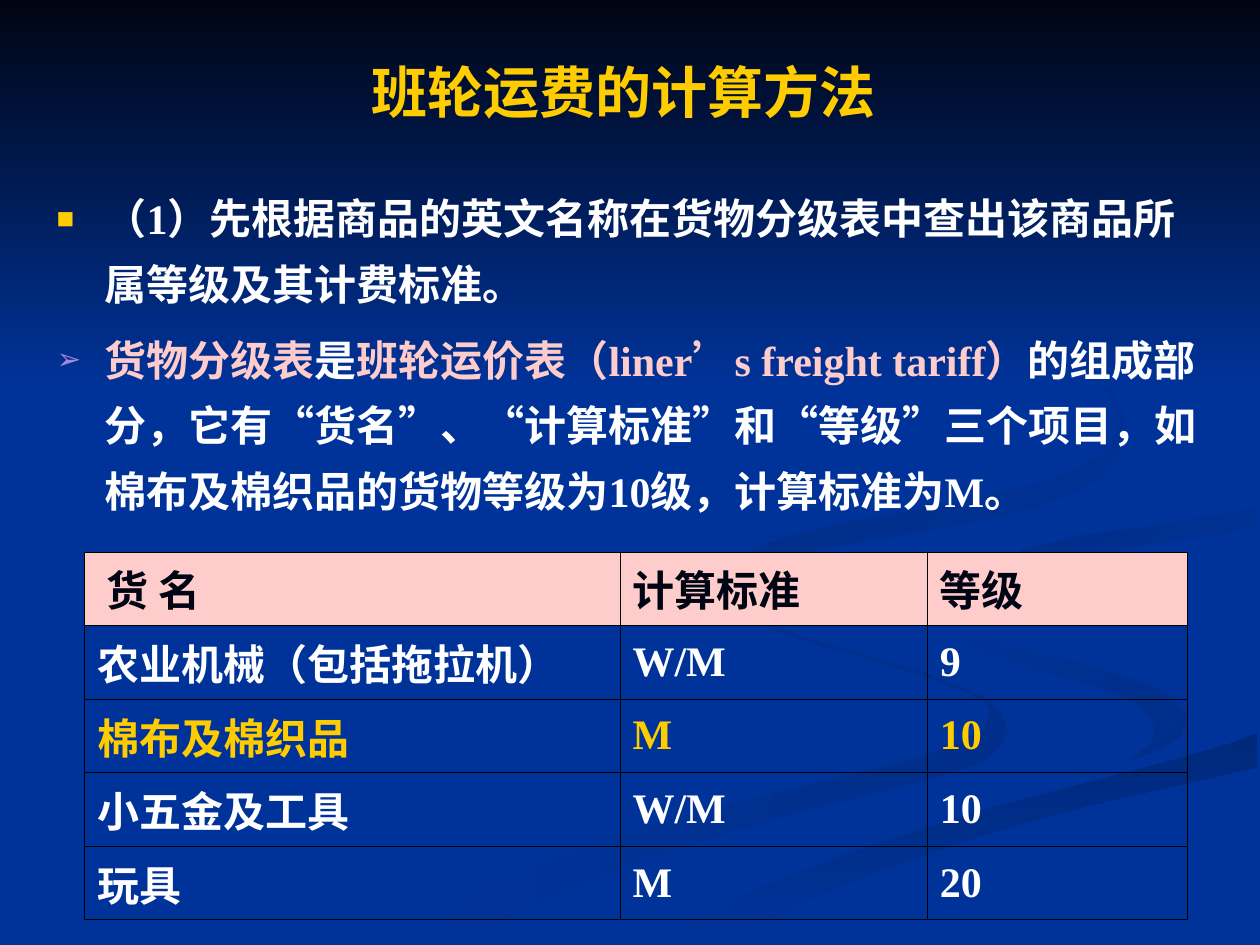
from lxml.etree import SubElement
from pptx import Presentation
from pptx.dml.color import RGBColor
from pptx.enum.text import MSO_ANCHOR as Anchor, MSO_AUTO_SIZE as AutoSize, PP_ALIGN as Align
from pptx.oxml import parse_xml
from pptx.oxml.ns import nsdecls, qn
from pptx.util import Pt

SCALE = 9144
COLORS = {
    "blue": "003399", "night": "000514", "deep": "002E8A", "shade": "00297C",
    "dusk": "002C85", "dark": "002B81", "gold": "FFCC00", "pink": "FFCCCC",
    "white": "FFFFFF", "violet": "A886E0", "black": "000000",
}
LEFT_SWIRL = [
    (781, 553), (757, 543), (731, 533), (682, 519), (642, 507), (614, 496), (594, 485),
    (579, 473), (574, 464), (575, 459), (570, 468), (576, 480), (593, 491), (611, 499),
    (654, 513), (697, 525), (741, 539), (770, 551), (781, 556), (786, 566), (780, 579),
    (759, 590), (727, 602), (684, 613), (616, 629), (539, 649), (458, 674), (376, 707),
    (300, 749), (361, 749), (431, 714), (499, 687), (564, 665), (623, 647), (676, 634),
    (740, 618), (780, 605), (795, 592), (800, 581), (795, 567), (786, 556),
]
RIGHT_SWIRL = [
    (943, 570), (935, 557), (919, 547), (888, 535), (850, 524), (811, 515), (774, 503),
    (745, 490), (730, 479), (724, 464), (727, 479), (739, 494), (766, 512), (797, 524),
    (838, 536), (868, 544), (892, 553), (907, 562), (917, 576), (914, 589), (894, 605),
    (925, 593), (941, 581),
]
LOWER_BAND = [
    (519, 747), (503, 749), (571, 749), (600, 733), (649, 710), (722, 682), (785, 661),
    (861, 640), (949, 620), (998, 609), (998, 581), (963, 594), (920, 606), (831, 629),
    (764, 647), (662, 681), (599, 706), (543, 733),
]
BROAD_BAND = [
    (725, 464), (734, 483), (759, 498), (793, 509), (851, 524), (905, 540), (931, 553),
    (943, 570), (936, 587), (911, 600), (869, 611), (780, 634), (704, 655), (619, 684),
    (526, 724), (477, 749), (503, 749), (519, 747), (599, 706), (662, 681), (765, 647),
    (832, 629), (920, 606), (976, 590), (999, 581), (999, 538), (941, 527), (866, 509),
    (817, 492), (786, 473), (781, 463), (792, 447), (822, 434), (865, 424), (933, 415),
    (999, 402), (999, 387), (942, 399), (874, 408), (808, 417), (755, 432), (732, 446),
]
UPPER_TAIL = [
    (781, 460), (786, 474), (806, 487), (826, 496), (809, 483), (805, 472), (816, 459),
    (843, 448), (896, 435), (954, 426), (998, 420), (998, 402), (933, 415), (865, 424),
    (810, 437), (785, 453),
]
UPPER_SWIRL = [
    (683, 430), (739, 421), (786, 412), (825, 402), (855, 391), (876, 378), (889, 362),
    (894, 344), (890, 324), (880, 307), (864, 291), (843, 275), (810, 256), (780, 241),
    (762, 233), (805, 254), (846, 279), (870, 299), (885, 320), (889, 335), (882, 354),
    (861, 370), (830, 382), (791, 392), (733, 404), (676, 414), (625, 426), (597, 437),
    (580, 451), (578, 468), (590, 484), (622, 500), (601, 485), (593, 470), (601, 456),
    (624, 444), (649, 436),
]
TOP_SKY = [(0, 0), (0, 308), (1000, 308), (1000, 0)]
BACKDROP = [
    (LEFT_SWIRL, "deep", "blue", 180),
    (RIGHT_SWIRL, "deep", "blue", 225),
    (LOWER_BAND, "shade", "blue", 90),
    (BROAD_BAND, "blue", "blue", 0),
    (UPPER_TAIL, "blue", "dusk", 225),
    (UPPER_SWIRL, "blue", "dark", 225),
    (TOP_SKY, "night", "blue", 90),
]
STEPS = [
    ("■", "gold", [("（1）先根据商品的英文名称在货物分级表中查出该商品所属等级及其计费标准。", "white")]),
    ("➢", "violet", [
        ("货物分级表", "pink"),
        ("是", "white"),
        ("班轮运价表（liner’s freight tariff）", "pink"),
        ("的组成部分，它有“货名”、“计算标准”和“等级”三个项目，"
         "如棉布及棉织品的货物等级为10级，计算标准为M。", "white"),
    ]),
]
GOODS = [
    (" 货 名", "计算标准", "等级"),
    ("农业机械（包括拖拉机）", "W/M", "9"),
    ("棉布及棉织品", "M", "10"),
    ("小五金及工具", "W/M", "10"),
    ("玩具", "M", "20"),
]


def rgb(name):
    return RGBColor.from_string(COLORS[name])


class SlideBuilder:
    """Draws styled elements on the current slide."""

    font_name = "Times New Roman"

    def __init__(self, page):
        self.page = page
        page.background.fill.solid()
        page.background.fill.fore_color.rgb = rgb("blue")

    def style(self, font, size, color=None):
        font.name, font.size, font.bold = self.font_name, Pt(size), True
        if color:
            font.color.rgb = rgb(color)

    def place(self, box, left, top, width, height):
        box.left, box.top = left * SCALE, top * SCALE
        box.width, box.height = width * SCALE, height * SCALE
        box.text_frame.word_wrap = True
        box.text_frame.auto_size = AutoSize.NONE

    def outline(self, points, start, end, angle):
        builder = self.page.shapes.build_freeform(*points[0], scale=SCALE)
        builder.add_line_segments(points[1:], close=True)
        shape = builder.convert_to_shape()
        shape.shadow.inherit = False
        shape.line.fill.background()
        if start == end:
            shape.fill.solid()
            shape.fill.fore_color.rgb = rgb(start)
            return
        shape.fill.gradient()
        shape.fill.gradient_angle = 360 - angle
        for stop, color in zip(shape.fill.gradient_stops, (start, end)):
            stop.color.rgb = rgb(color)

    def title(self, text, *frame):
        box = self.page.shapes.title
        self.place(box, *frame)
        box.text_frame.vertical_anchor = Anchor.MIDDLE
        para = box.text_frame.paragraphs[0]
        para.text, para.alignment = text, Align.CENTER
        self.style(para.font, 32, "gold")

    def bullet(self, para, symbol, color):
        properties = para._p.get_or_add_pPr()
        properties.set("marL", str(38 * SCALE))
        properties.set("indent", str(-38 * SCALE))
        tint = SubElement(properties, qn("a:buClr"))
        SubElement(tint, qn("a:srgbClr"), val=COLORS[color])
        SubElement(properties, qn("a:buSzPct"), val="70000")
        SubElement(properties, qn("a:buChar"), char=symbol)

    def body(self, items, *frame):
        box = self.page.placeholders[1]
        self.place(box, *frame)
        for index, (symbol, color, spans) in enumerate(items):
            text = box.text_frame
            para = text.add_paragraph() if index else text.paragraphs[0]
            self.bullet(para, symbol, color)
            para.line_spacing = 1.3
            para.space_before = Pt(6 if index else 0)
            self.style(para.font, 24)
            for words, tone in spans:
                span = para.add_run()
                span.text = words
                self.style(span.font, 24, tone)

    def border(self, cell):
        properties = cell._tc.get_or_add_tcPr()
        for index, side in enumerate("LRTB"):
            properties.insert(index, parse_xml(
                f'<a:ln{side} {nsdecls("a")} w="{Pt(0.34)}"><a:solidFill>'
                f'<a:srgbClr val="{COLORS["black"]}"/></a:solidFill></a:ln{side}>'))

    def table(self, rows, widths, row_height, highlight, left, top):
        frame = self.page.shapes.add_table(
            len(rows), len(widths), left * SCALE, top * SCALE,
            sum(widths) * SCALE, len(rows) * row_height * SCALE)
        grid = frame.table
        grid.first_row = grid.horz_banding = False
        for column, width in zip(grid.columns, widths):
            column.width = width * SCALE
        for row, values in enumerate(rows):
            color = {0: "night", highlight: "gold"}.get(row, "white")
            for column, value in enumerate(values):
                cell = grid.cell(row, column)
                cell.vertical_anchor = Anchor.MIDDLE
                if row:
                    cell.fill.background()
                else:
                    cell.fill.solid()
                    cell.fill.fore_color.rgb = rgb("pink")
                self.border(cell)
                para = cell.text_frame.paragraphs[0]
                para.text = value
                self.style(para.font, 24, color)


def main():
    deck = Presentation()
    deck.slide_width, deck.slide_height = 1000 * SCALE, 750 * SCALE
    slide = SlideBuilder(deck.slides.add_slide(deck.slide_layouts[1]))
    for points, start, end, angle in BACKDROP:
        slide.outline(points, start, end, angle)
    slide.title("班轮运费的计算方法 ", 50, 21, 900, 102)
    slide.body(STEPS, 35, 136, 937, 287)
    slide.table(GOODS, (425, 244, 206), 50, 2, 67, 438)
    for shape in (slide.page.shapes.title, slide.page.placeholders[1]):
        slide.page.shapes._spTree.append(shape._element)
    deck.save("out.pptx")


if __name__ == "__main__":
    main()
